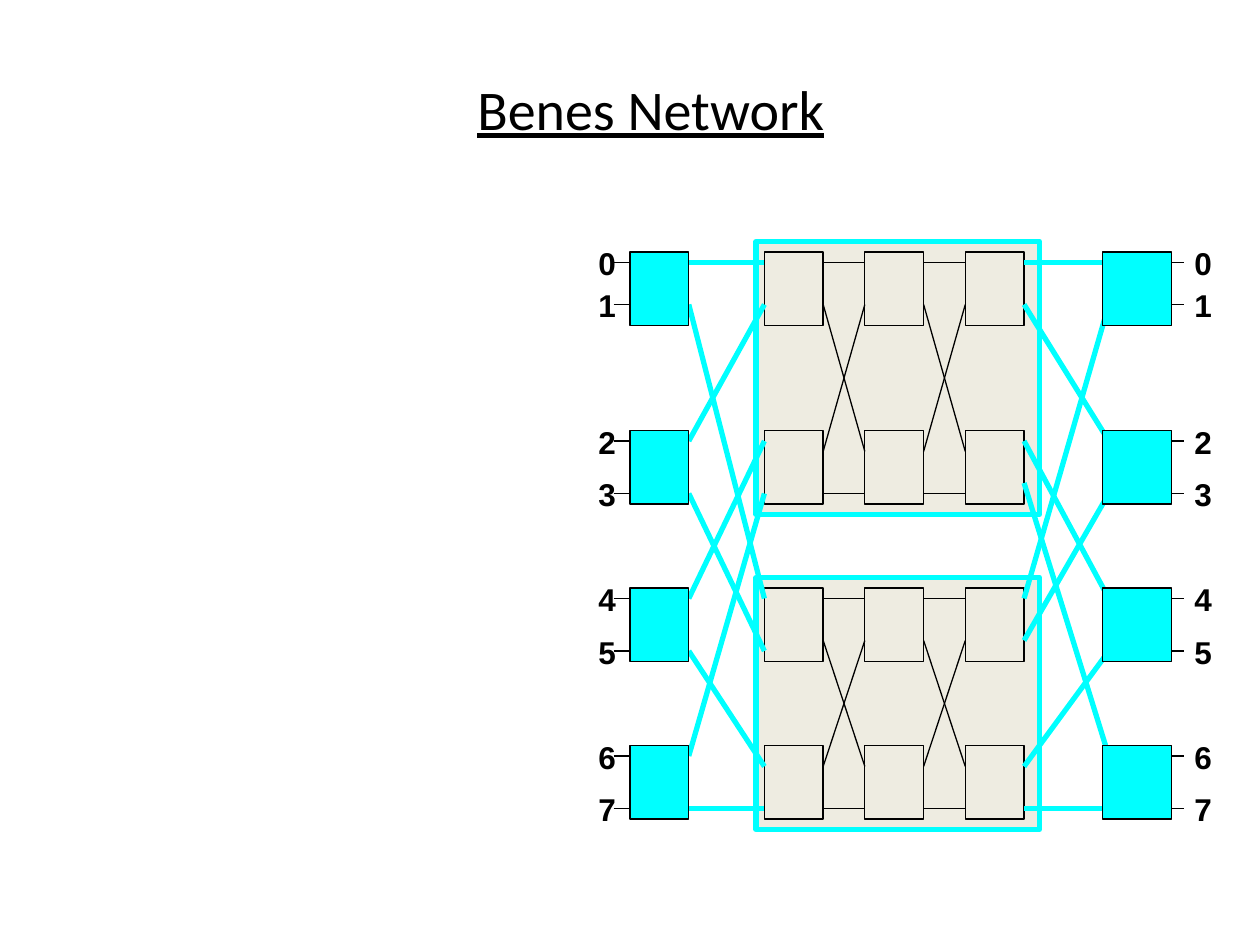
from typing import NamedTuple

from lxml import etree
from pptx import Presentation
from pptx.dml.color import RGBColor
from pptx.enum.shapes import MSO_CONNECTOR, MSO_SHAPE
from pptx.enum.text import MSO_ANCHOR, PP_ALIGN
from pptx.oxml.ns import qn
from pptx.util import Pt

STRAIGHT = MSO_CONNECTOR.STRAIGHT
RECTANGLE = MSO_SHAPE.RECTANGLE
MIDDLE, TOP = MSO_ANCHOR.MIDDLE, MSO_ANCHOR.TOP
CENTER, LEFT = PP_ALIGN.CENTER, PP_ALIGN.LEFT

COLORS = {"ink": "000000", "inner": "EEECE1", "outer": "00FFFF"}
THIN, THICK = 0.75, 3

SWITCH_WIDTH, SWITCH_HEIGHT = 33.6, 42
ROW_TOPS = [144, 246, 336, 426]
INNER_LEFTS = [436.8, 494.2, 551.6]
INPUT_LEFT, OUTPUT_LEFT, OUTPUT_WIDTH = 360, 630, 39.6
INPUT_RIGHT = INPUT_LEFT + SWITCH_WIDTH
INNER_RIGHT = INNER_LEFTS[-1] + SWITCH_WIDTH
OUTPUT_LINK_END = 633.6

PORT_YS = [150, 174, 252, 282, 342, 372, 432, 462]
INNER_INPUT_YS = [150, 174, 252, 282, 342, 372, 438, 462]
INNER_OUTPUT_YS = [150, 174, 252, 276, 342, 366, 438, 462]
SHUFFLED_PORT_YS = PORT_YS[::2] + PORT_YS[1::2]


class Box(NamedTuple):
    left: float
    top: float
    width: float
    height: float


class Link(NamedTuple):
    x1: float
    y1: float
    x2: float
    y2: float


class TextStyle(NamedTuple):
    font: str
    size: float
    bold: bool = False
    underline: bool = False
    align: PP_ALIGN = LEFT
    anchor: MSO_ANCHOR = TOP
    wrap: bool = False


class PortSide(NamedTuple):
    stub_start: float
    stub_end: float
    label_left: float


TITLE = TextStyle("Calibri", 32, underline=True, align=CENTER, anchor=MIDDLE, wrap=True)
PORT_LABEL = TextStyle("Arial", 18, bold=True)
SUBNETWORKS = [Box(432, 138, 162, 156), Box(432, 330, 162, 144)]
PORT_SIDES = [PortSide(350.6, INPUT_LEFT, 334.8), PortSide(666.9, 676.8, 675.4)]


def color(name: str) -> RGBColor:
    return RGBColor.from_string(COLORS[name])


def draw_box(shapes, box: Box, fill: str, line: str = "ink", width: float = THIN) -> None:
    rectangle = shapes.add_shape(RECTANGLE, *map(Pt, box))
    rectangle.shadow.inherit = False
    rectangle.fill.solid()
    rectangle.fill.fore_color.rgb = color(fill)
    rectangle.line.color.rgb = color(line)
    rectangle.line.width = Pt(width)


def draw_link(shapes, link: Link, line: str = "ink", width: float = THIN) -> None:
    connector = shapes.add_connector(STRAIGHT, *map(Pt, link))
    connector.line.color.rgb = color(line)
    connector.line.width = Pt(width)
    etree.SubElement(connector._element.spPr, qn("a:effectLst"))


def draw_text(shapes, box: Box, text: str, style: TextStyle) -> None:
    frame = shapes.add_textbox(*map(Pt, box)).text_frame
    frame.word_wrap = style.wrap
    frame.vertical_anchor = style.anchor
    frame.text = text
    paragraph = frame.paragraphs[0]
    paragraph.alignment = style.align
    font = paragraph.runs[0].font
    font.name = style.font
    font.size = Pt(style.size)
    font.bold = style.bold
    font.underline = style.underline
    font.color.rgb = color("ink")


def draw_subnetwork(shapes, frame: Box, upper: float, lower: float) -> None:
    draw_box(shapes, frame, "inner", "outer", THICK)
    for top in (upper, lower):
        for left in INNER_LEFTS:
            draw_box(shapes, Box(left, top, SWITCH_WIDTH, SWITCH_HEIGHT), "inner")
    straight_ys = upper + 6, lower + 36
    crossed_ys = upper + 30, lower + 12
    wires = [(y, y) for y in straight_ys] + [crossed_ys, crossed_ys[::-1]]
    for left, next_left in zip(INNER_LEFTS, INNER_LEFTS[1:]):
        for start, end in wires:
            draw_link(shapes, Link(left + SWITCH_WIDTH, start, next_left, end))


def draw_ports(shapes, side: PortSide) -> None:
    for number, y in enumerate(PORT_YS):
        draw_link(shapes, Link(side.stub_start, y, side.stub_end, y))
        draw_text(shapes, Box(side.label_left, y - 14, 24.5, 28.8), str(number), PORT_LABEL)


def draw_outer_stages(shapes) -> None:
    for port_y, input_y, output_y in zip(SHUFFLED_PORT_YS, INNER_INPUT_YS, INNER_OUTPUT_YS):
        draw_link(shapes, Link(INPUT_RIGHT, port_y, INNER_LEFTS[0], input_y), "outer", THICK)
        draw_link(shapes, Link(INNER_RIGHT, output_y, OUTPUT_LINK_END, port_y), "outer", THICK)
    for left, width in ((INPUT_LEFT, SWITCH_WIDTH), (OUTPUT_LEFT, OUTPUT_WIDTH)):
        for top in ROW_TOPS:
            draw_box(shapes, Box(left, top, width, SWITCH_HEIGHT), "outer")


def main() -> None:
    presentation = Presentation()
    presentation.slide_width = Pt(720)
    presentation.slide_height = Pt(540)
    shapes = presentation.slides.add_slide(presentation.slide_layouts[6]).shapes

    draw_text(shapes, Box(66, 18, 612, 87), "Benes Network", TITLE)
    for frame, upper, lower in zip(SUBNETWORKS, ROW_TOPS[::2], ROW_TOPS[1::2]):
        draw_subnetwork(shapes, frame, upper, lower)
    for side in PORT_SIDES:
        draw_ports(shapes, side)
    draw_outer_stages(shapes)

    presentation.save("out.pptx")


if __name__ == "__main__":
    main()
